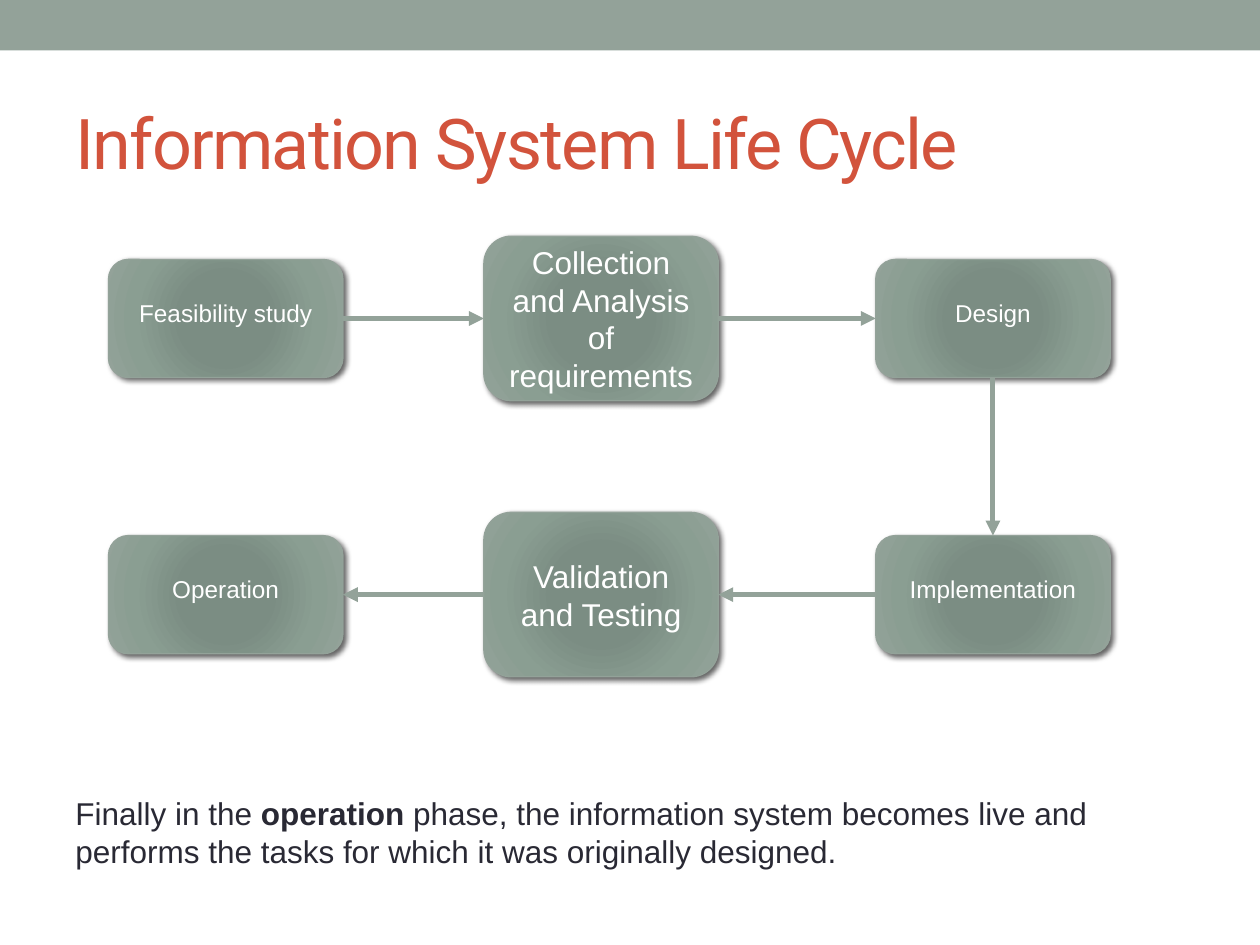
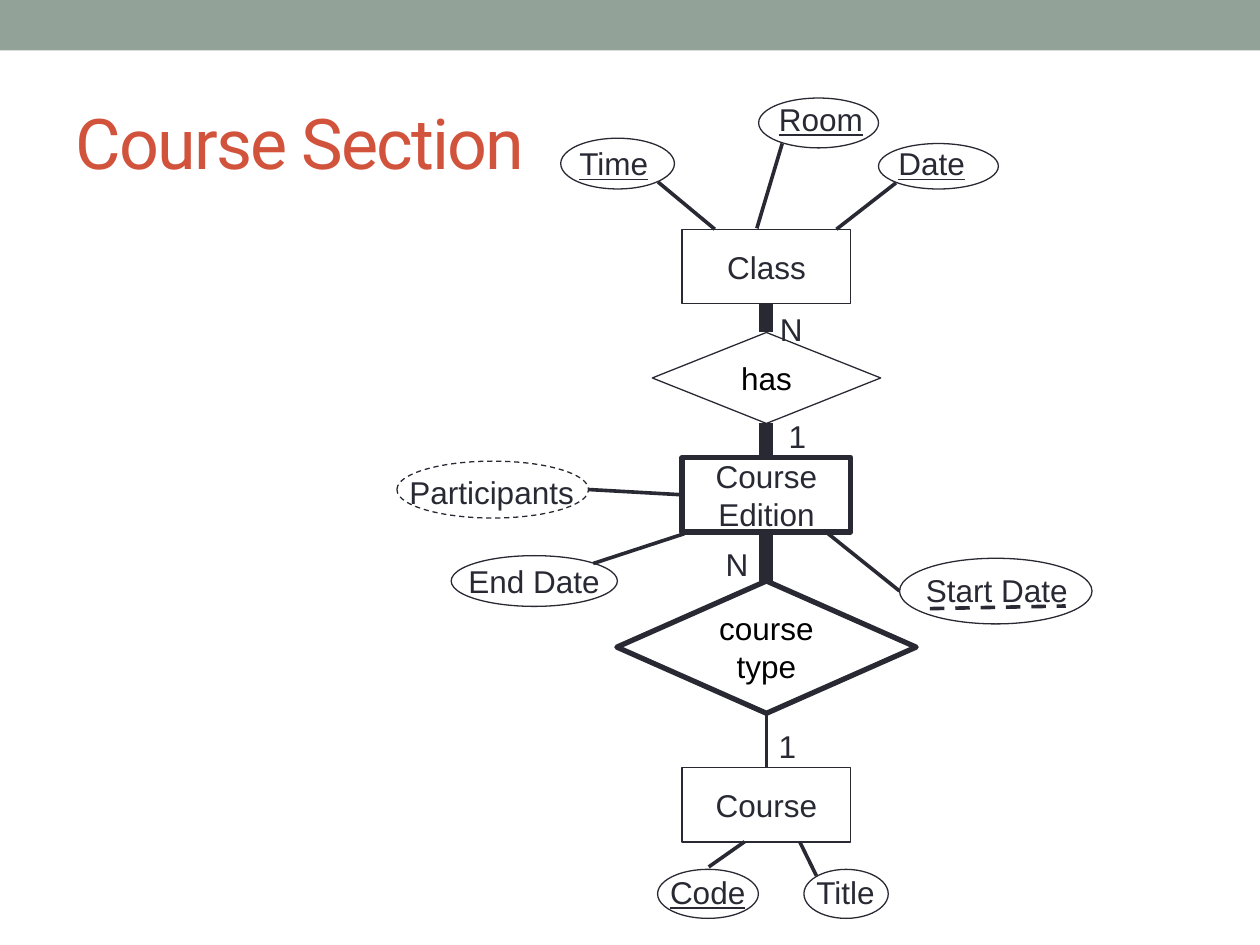
from lxml import etree
from pptx import Presentation
from pptx.dml.color import RGBColor
from pptx.enum import dml, shapes, text
from pptx.oxml import ns
from pptx.util import Pt

SAGE, RED, INK, WHITE, BLACK = "93A299", "D2533C", "292934", "FFFFFF", "000000"
BODY = {"name": "Arial", "size": Pt(18)}
TITLE = {"name": "Roboto", "size": Pt(40)}
THIN, MEDIUM, BOLD, ARROW, THICK = 0.75, 2.08, 3, 2.83, 8
TOP, LEFT, BOTTOM, RIGHT = range(4)

# Life cycle: phase, column, row, is it a large box
PHASES = [
    ("Feasibility study", 0, 0, False),
    ("Collection and Analysis of requirements", 1, 0, True),
    ("Design", 2, 0, False),
    ("Implementation", 2, 1, False),
    ("Validation and Testing", 1, 1, True),
    ("Operation", 0, 1, False),
]
COLUMN_CENTRES = (129, 343.5, 567.4)
ROW_CENTRES = (182, 339.8)
PHASE_WIDTH, SMALL_HEIGHT, LARGE_HEIGHT = 134, 67.5, 94
GRADIENT = [(0, "7B8E82"), (34, "7B8D83"), (70, "8A9E92"), (100, SAGE)]
CLOSING = [
    ("Finally in the ", False),
    ("operation", True),
    (" phase, the information system becomes live and performs the tasks "
     "for which it was originally designed.", False),
]

# Entities and relationships down the middle: label, kind, top, width, height, line, text colour
SPINE_X = 438
SPINE = [
    ("Class", "RECTANGLE", 131, 96.5, 42.5, THIN, INK),
    ("has", "DIAMOND", 190, 130.5, 52, THIN, BLACK),
    ("Course Edition", "RECTANGLE", 261.5, 96.5, 42.5, BOLD, INK),
    ("course type", "DIAMOND", 332, 171, 75.6, BOLD, BLACK),
    ("Course", "RECTANGLE", 438.6, 96.5, 42.5, THIN, INK),
]
SPINE_LINES = (THICK, THICK, THICK, MEDIUM)

# Attribute, ellipse (left, top, width, height), label (left, top, width), line, underlined
ATTRIBUTES = [
    ("Time", (320.4, 79, 65, 29), (324, 79, 54), (376, 104, 408.5, 131), True),
    ("Room", (433.5, 56, 68.5, 28.5), (438, 53.5, 63), (447, 82, 432.5, 130.5), True),
    ("Date", (502, 82, 68.5, 26), (506.3, 79, 53), (512, 104.5, 478, 131), True),
    ("Participants", (226.8, 263.5, 109.5, 32.5), (226.8, 267, 109.5), None, False),
    ("End Date", (257.8, 317.5, 95, 29), (260.6, 317.5, 90), (339, 322, 391, 305), False),
    ("Start Date", (514, 319, 110, 37.5), (522, 322.5, 96), (514, 337.7, 472, 304), False),
    ("Code", (375.8, 496.8, 57.6, 28), (375.8, 495.4, 58.3), (405, 495.4, 425.5, 481), True),
    ("Title", (459.4, 496.8, 48.2, 28), (459.4, 495.4, 48.2), (466.5, 500.4, 457, 481), False),
]
CARDINALITIES = [("N", 438.5, 173.5), ("1", 443.5, 234.7), ("N", 407.5, 308), ("1", 437.8, 412)]
PARTIAL_KEY_LINE = (531.4, 347.8, 609, 346.3)


def rgb(value):
    return RGBColor.from_string(value)


def add_xml(parent, xml):
    parent.append(etree.fromstring(f'<a:x {ns.nsdecls("a")}>{xml}</a:x>')[0])


def set_attributes(target, values):
    for name, value in values.items():
        setattr(target, name, value)


def write(shape, pieces, colour, font=BODY, align=None, anchor=None, wrap=True):
    """Fill the shape's one paragraph with (words, bold) pieces and return its runs."""
    set_attributes(shape.text_frame, {"word_wrap": wrap, "vertical_anchor": anchor})
    paragraph = shape.text_frame.paragraphs[0]
    paragraph.alignment = align
    for words, bold in pieces:
        run = paragraph.add_run()
        run.text = words
        set_attributes(run.font, {**font, "bold": bold})
        run.font.color.rgb = rgb(colour)
    return paragraph.runs


def write_centred(shape, words, colour):
    return write(shape, [(words, False)], colour, align=text.PP_ALIGN.CENTER,
                 anchor=text.MSO_ANCHOR.MIDDLE)[0]


def add_textbox(slide, box, pieces, **options):
    textbox = slide.shapes.add_textbox(*map(Pt, box))
    textbox.text_frame.auto_size = text.MSO_AUTO_SIZE.SHAPE_TO_FIT_TEXT
    write(textbox, pieces, INK, **options)


def add_outline(slide, kind, box, width, colour=INK):
    """Add an unfilled preset shape."""
    shape = slide.shapes.add_shape(getattr(shapes.MSO_SHAPE, kind), *map(Pt, box))
    shape.shadow.inherit = False
    shape.fill.background()
    shape.line.color.rgb = rgb(colour)
    shape.line.width = Pt(width)
    return shape


def add_line(slide, ends, width, colour=INK):
    line = slide.shapes.add_connector(shapes.MSO_CONNECTOR.STRAIGHT, *map(Pt, ends))
    line.line.color.rgb = rgb(colour)
    line.line.width = Pt(width)
    add_xml(line._element.spPr, "<a:effectLst/>")
    return line


def join(slide, start, start_side, end, end_side, width, colour=INK):
    line = add_line(slide, (0, 0, 0, 0), width, colour)
    line.begin_connect(start, start_side)
    line.end_connect(end, end_side)
    return line


def add_slide(presentation, title):
    """Add a blank slide with the top band and the title."""
    slide = presentation.slides.add_slide(presentation.slide_layouts[6])
    band = add_outline(slide, "RECTANGLE", (0, 0, 720, 28.8), THIN)
    band.fill.solid()
    band.fill.fore_color.rgb = rgb(SAGE)
    band.line.fill.background()
    heading = slide.shapes.add_textbox(*map(Pt, (36, 42, 648, 77.8)))
    run = write(heading, [(title, False)], RED, TITLE, anchor=text.MSO_ANCHOR.MIDDLE)[0]
    run.font._element.set("spc", "-100")
    return slide


def add_gradient_and_shadow(shape):
    properties = shape._element.spPr
    stops = "".join(f'<a:gs pos="{place * 1000}"><a:srgbClr val="{colour}"/></a:gs>'
                    for place, colour in GRADIENT)
    edges = " ".join(f'{side}="100000"' for side in "ltrb")
    add_xml(properties, f'<a:gradFill><a:gsLst>{stops}</a:gsLst><a:path path="circle">'
                        f'<a:fillToRect {edges}/></a:path></a:gradFill>')
    properties.replace(properties.find(ns.qn("a:noFill")), properties[-1])
    properties.remove(properties.find(ns.qn("a:effectLst")))
    add_xml(properties, f'<a:effectLst><a:outerShdw blurRad="{Pt(3)}" dist="{Pt(2)}" '
                        f'dir="2700000"><a:srgbClr val="{BLACK}"><a:alpha val="60000"/>'
                        '</a:srgbClr></a:outerShdw></a:effectLst>')


def add_phase(slide, label, column, row, large):
    height = LARGE_HEIGHT if large else SMALL_HEIGHT
    box = (COLUMN_CENTRES[column] - PHASE_WIDTH / 2, ROW_CENTRES[row] - height / 2,
           PHASE_WIDTH, height)
    shape = add_outline(slide, "ROUNDED_RECTANGLE", box, THIN, SAGE)
    add_gradient_and_shadow(shape)
    run = write_centred(shape, label, WHITE)
    if not large:
        run.font.size = Pt(24)
        run.font._element.set("baseline", "30000")
    return shape


def build_life_cycle(presentation):
    slide = add_slide(presentation, "Information System Life Cycle")
    boxes = [add_phase(slide, *phase) for phase in PHASES]
    for index in range(len(boxes) - 1):
        step = PHASES[index + 1][1] - PHASES[index][1]
        sides = {1: (RIGHT, LEFT), 0: (BOTTOM, TOP), -1: (LEFT, RIGHT)}[step]
        arrow = join(slide, boxes[index], sides[0], boxes[index + 1], sides[1], ARROW, SAGE)
        add_xml(arrow._element.spPr.find(ns.qn("a:ln")), '<a:tailEnd type="triangle"/>')
    add_textbox(slide, (36, 450, 648, 51), CLOSING)


def build_course_section(presentation):
    slide = add_slide(presentation, "Course Section")
    nodes = {}
    for label, kind, top, width, height, line_width, colour in SPINE:
        box = (SPINE_X - width / 2, top, width, height)
        nodes[label] = add_outline(slide, kind, box, line_width)
        write_centred(nodes[label], label, colour)
    chain = list(nodes.values())
    for upper, lower, width in zip(chain, chain[1:], SPINE_LINES):
        join(slide, upper, BOTTOM, lower, TOP, width)

    for name, oval, label, ends, underlined in ATTRIBUTES:
        ellipse = add_outline(slide, "OVAL", oval, THIN)
        if ends:
            add_line(slide, ends, MEDIUM)
        else:
            ellipse.line.dash_style = dml.MSO_LINE.DASH
            # An ellipse has eight connection sites, so its side is given as a point.
            left, top, width, height = oval
            line = add_line(slide, (left + width, top + height / 2, 0, 0), MEDIUM)
            line.end_connect(nodes["Course Edition"], LEFT)
        font = {**BODY, "underline": underlined}
        add_textbox(slide, (*label, 29), [(name, False)], font=font, wrap=False)
    for mark, left, top in CARDINALITIES:
        add_textbox(slide, (left, top, 26, 29), [(mark, False)], wrap=False)
    add_line(slide, PARTIAL_KEY_LINE, MEDIUM).line.dash_style = dml.MSO_LINE.DASH


def main():
    presentation = Presentation()
    presentation.slide_width, presentation.slide_height = Pt(720), Pt(540)
    build_life_cycle(presentation)
    build_course_section(presentation)
    presentation.save("out.pptx")


if __name__ == "__main__":
    main()
